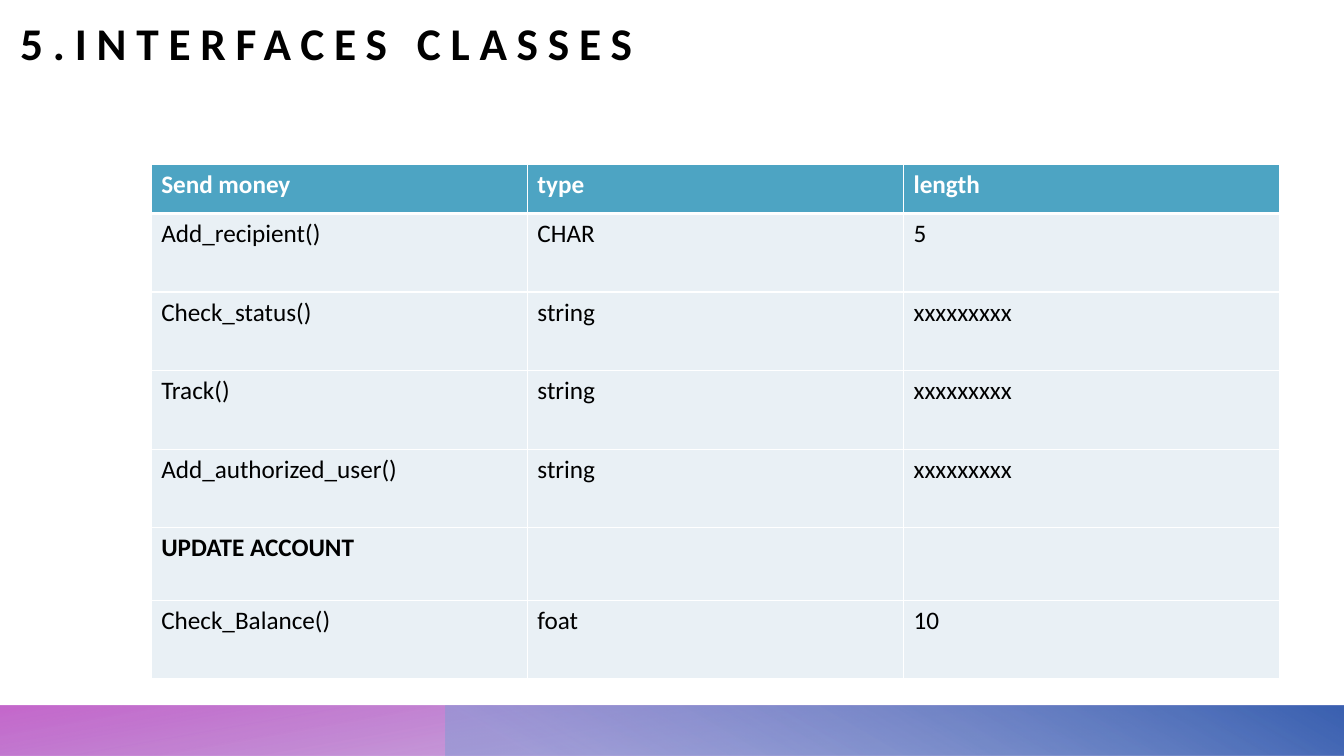
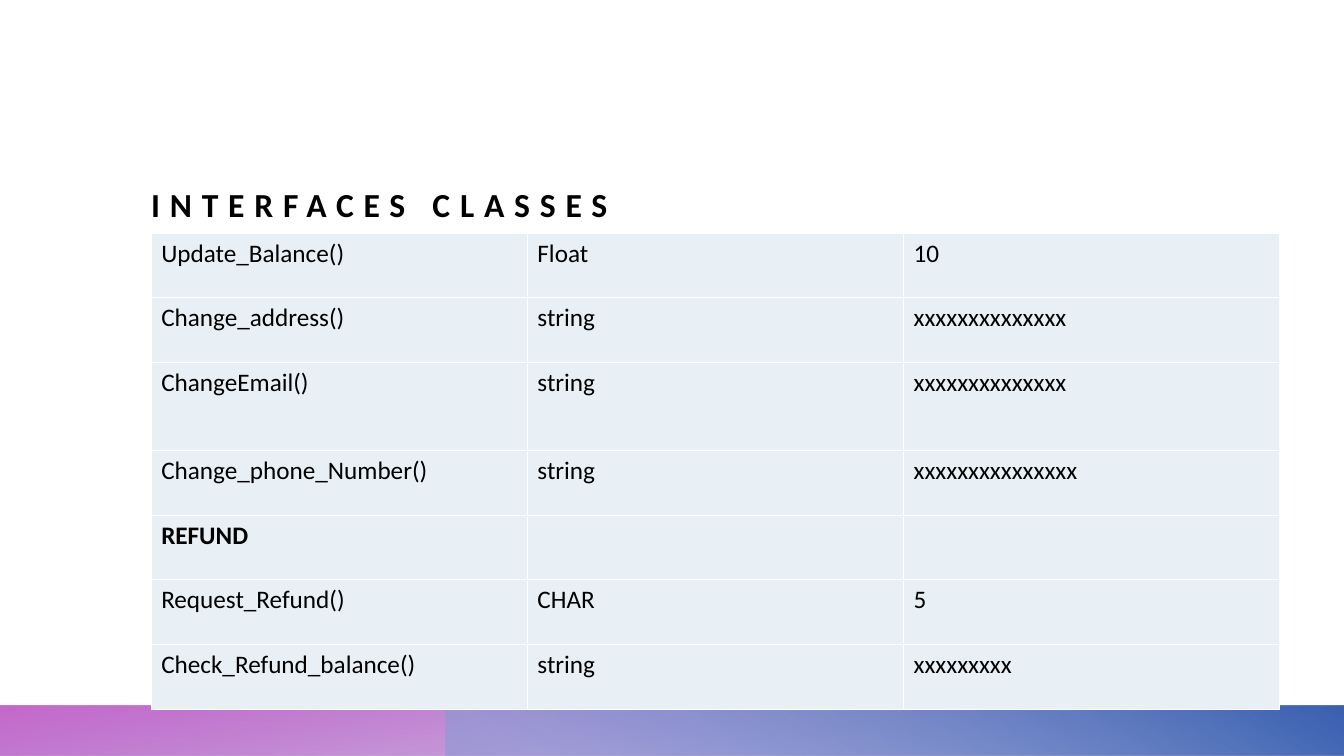
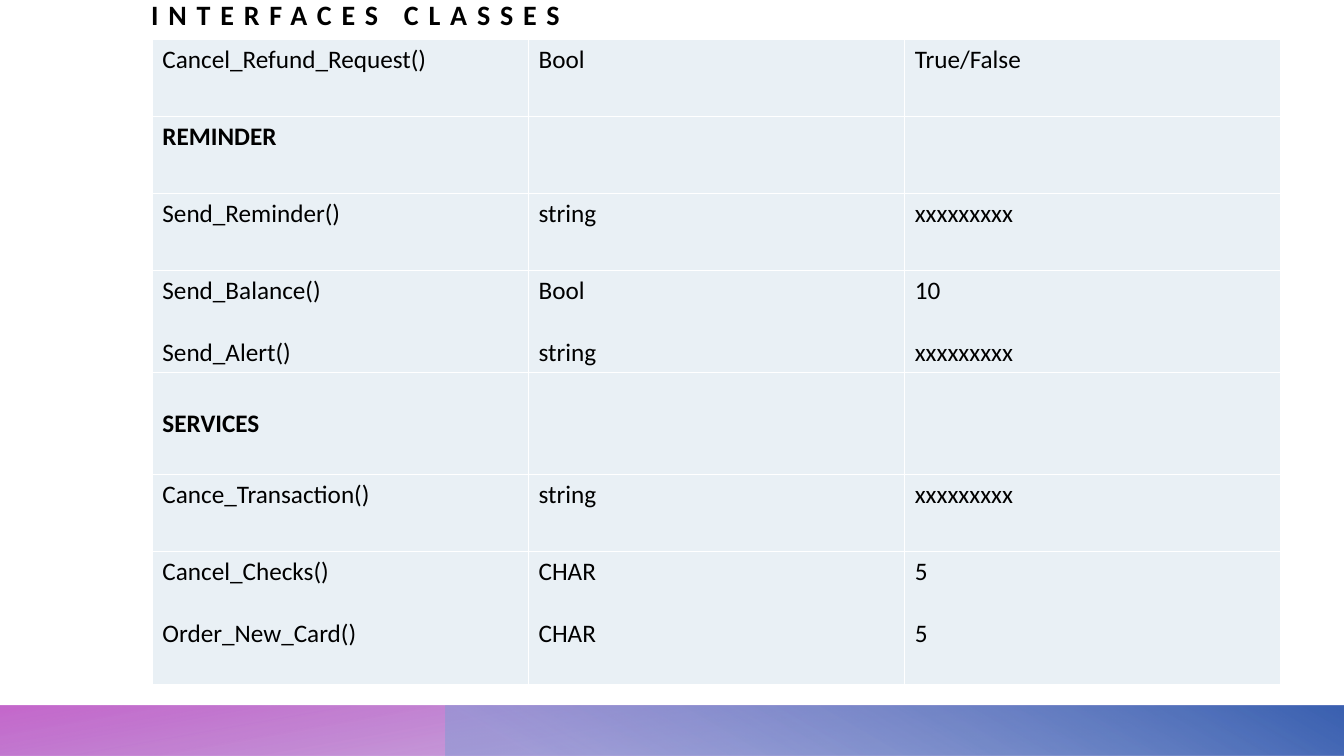
from lxml.etree import SubElement as Sub
from pptx import Presentation
from pptx.dml.color import RGBColor as RGB
from pptx.enum.shapes import MSO_SHAPE as Shape
from pptx.enum.text import MSO_ANCHOR as Anchor
from pptx.oxml.ns import qn
from pptx.util import Cm, Pt

FONT = "Calibri"
HUES = {
    "text": "000000", "white": "FFFFFF", "head": "4DA4C3", "cell": "E9F0F5",
    "plum": "783BB1", "pink": "BB4DC3", "sky": "849ED6", "blue": "3B61B1",
}
WIDE, HIGH, BAND = 33.87, 19.05, 1.27
COL = 9.48
GAP = 22

BANDS = [
    {"left": 0, "turn": 180, "angle": 100,
     "stops": [(14, "plum", 28), (100, "pink", 85)]},
    {"left": 11.22, "turn": 0, "angle": 240,
     "stops": [(9, "sky", 55), (99, "blue", 100)]},
]

SLIDES = [
    {"title": "5.INTERFACES CLASSES", "size": 32.4, "box": (0.51, 0.25, 28.42, 1.5),
     "at": (3.81, 4.14), "head": True,
     "rows": [
         (1.24, "Send money", "type", "length"),
         (1.98, "Add_recipient()", "CHAR", "5"),
         (1.98, "Check_status()", "string", "xxxxxxxxx"),
         (1.98, "Track()", "string", "xxxxxxxxx"),
         (1.98, "Add_authorized_user()", "string", "xxxxxxxxx"),
         (1.83, "UPDATE ACCOUNT"),
         (1.98, "Check_Balance()", "foat", "10"),
     ]},
    {"title": "INTERFACES CLASSES", "size": 24, "box": (3.81, 2.21, 28.45, 3.43),
     "at": (3.81, 5.87), "head": False,
     "rows": [
         (1.63, "Update_Balance()", "Float", "10"),
         (1.63, "Change_address()", "string", "xxxxxxxxxxxxxx"),
         (2.22, "ChangeEmail()", "string", "xxxxxxxxxxxxxx"),
         (1.63, "Change_phone_Number()", "string", "xxxxxxxxxxxxxxx"),
         (1.63, "REFUND"),
         (1.63, "Request_Refund()", "CHAR", "5"),
         (1.63, "Check_Refund_balance()", "string", "xxxxxxxxx"),
     ]},
    {"title": "INTERFACES CLASSES", "size": 20, "box": (3.81, -0.81, 28.45, 1.6),
     "at": (3.84, 1), "head": False, "drop": "SERVICES",
     "rows": [
         (1.94, "Cancel_Refund_Request()", "Bool", "True/False"),
         (1.94, "REMINDER"),
         (1.94, "Send_Reminder()", "string", "xxxxxxxxx"),
         (2.57, "Send_Balance()\nSend_Alert()", "Bool\nstring", "10\nxxxxxxxxx"),
         (2.57, "SERVICES"),
         (1.94, "Cance_Transaction()", "string", "xxxxxxxxx"),
         (3.36, "Cancel_Checks()\nOrder_New_Card()", "CHAR\nCHAR", "5\n5"),
     ]},
]


def hue(name):
    return RGB.from_string(HUES[name])


def style(run, size, color, bold):
    font = run.font
    font.name, font.size, font.bold = FONT, Pt(size), bold
    font.color.rgb = hue(color)


def add_band(slide, left, turn, angle, stops):
    band = slide.shapes.add_shape(
        Shape.RECTANGLE, Cm(left), Cm(HIGH - BAND), Cm(WIDE - left), Cm(BAND))
    band.shadow.inherit = False
    band.line.fill.background()
    band.rotation = turn
    band.element.spPr.find(qn("a:xfrm")).set("flipH", "1")
    band.fill.gradient()
    band.fill.gradient_angle = 360 - angle
    for stop, (place, color, _) in zip(band.fill.gradient_stops, stops):
        stop.position = place / 100
        stop.color.rgb = hue(color)
    marks = band.element.spPr.iter(qn("a:srgbClr"))
    for mark, (_, _, alpha) in zip(list(marks), stops):
        Sub(mark, qn("a:alpha"), val=str(alpha * 1000))


def add_title(slide, text, size, box):
    frame = slide.shapes.add_textbox(*map(Cm, box)).text_frame
    frame.word_wrap = True
    frame.vertical_anchor = Anchor.BOTTOM
    frame.margin_left = frame.margin_right = 0
    frame.margin_top = frame.margin_bottom = 0
    frame.text = text
    run = frame.paragraphs[0].runs[0]
    style(run, size, "text", True)
    run._r.get_or_add_rPr().set("spc", "700")


def add_edges(cell, thick):
    props = cell._tc.get_or_add_tcPr()
    for side in "LRTB":
        width = Pt(3 if side == thick else 1)
        line = Sub(props, qn("a:ln" + side), w=str(width))
        fill = Sub(line, qn("a:solidFill"))
        Sub(fill, qn("a:srgbClr"), val=HUES["white"])


def add_grid(slide, at, rows, head, drop=None):
    high = sum(row[0] for row in rows)
    table = slide.shapes.add_table(
        len(rows), 3, *map(Cm, at), Cm(3 * COL), Cm(high)).table
    table.first_row = head
    table.horz_banding = False
    for col in table.columns:
        col.width = Cm(COL)
    for i, (tall, *texts) in enumerate(rows):
        table.rows[i].height = Cm(tall)
        top = head and i == 0
        bold = top or len(texts) == 1
        thick = {0: "B", 1: "T"}.get(i) if head else None
        for j in range(3):
            cell = table.cell(i, j)
            add_edges(cell, thick)
            cell.fill.solid()
            cell.fill.fore_color.rgb = hue("head" if top else "cell")
            if j >= len(texts):
                continue
            cell.text_frame.text = texts[j]
            if texts[j] == drop:
                cell.margin_top = Cm(0.9)
            for k, para in enumerate(cell.text_frame.paragraphs):
                if k:
                    para.space_before = Pt(GAP)
                style(para.runs[0], 18, "white" if top else "text", bold)


def main():
    deck = Presentation()
    deck.slide_width, deck.slide_height = Cm(WIDE), Cm(HIGH)
    for page in SLIDES:
        slide = deck.slides.add_slide(deck.slide_layouts[6])
        for band in BANDS:
            add_band(slide, **band)
        add_title(slide, page["title"], page["size"], page["box"])
        add_grid(slide, page["at"], page["rows"], page["head"], page.get("drop"))
    deck.save("out.pptx")


if __name__ == "__main__":
    main()
